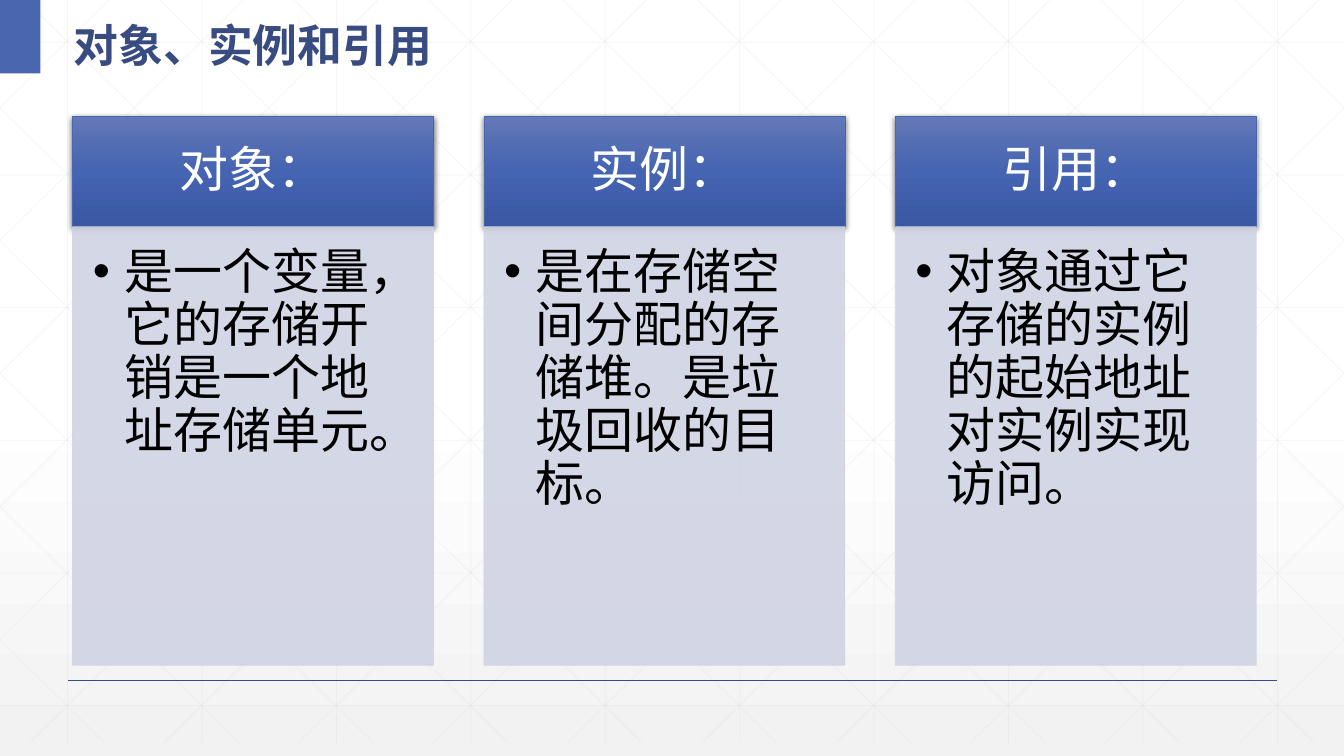
"""Builds a slide comparing objects, instances and references in three columns."""
from dataclasses import dataclass

from lxml import etree
from pptx import Presentation
from pptx.dml.color import RGBColor
from pptx.enum.shapes import MSO_CONNECTOR, MSO_SHAPE
from pptx.enum.text import MSO_ANCHOR, MSO_AUTO_SIZE, PP_ALIGN
from pptx.oxml.ns import qn
from pptx.util import Inches, Pt

STRAIGHT = MSO_CONNECTOR.STRAIGHT
RECTANGLE = MSO_SHAPE.RECTANGLE
TOP, MIDDLE = MSO_ANCHOR.TOP, MSO_ANCHOR.MIDDLE
LEFT, CENTER = PP_ALIGN.LEFT, PP_ALIGN.CENTER
NO_AUTO_SIZE = MSO_AUTO_SIZE.NONE

WIDTH, HEIGHT = 13.33, 7.5
GRID_BOTTOM = 7.37
GRID_STEP = 4 / 3
ROW_STEP = 1.316
DIAGONAL_RUN = 7.455
COLUMN_LEFT, COLUMN_STEP, COLUMN_WIDTH = 0.72, 4.08, 3.58
HEADING_TOP, HEADING_HEIGHT, BODY_HEIGHT = 1.15, 1.1, 4.35

COLUMNS = [
    ("对象：", "是一个变量，它的存储开销是一个地址存储单元。"),
    ("实例：", "是在存储空间分配的存储堆。是垃圾回收的目标。"),
    ("引用：", "对象通过它存储的实例的起始地址对实例实现访问。"),
]


@dataclass(frozen=True)
class Theme:
    """Colours, fonts and type sizes of the slide."""
    accent: str = "4A66AC"
    dark: str = "384C81"
    grid: str = "D9D9D9"
    panel: str = "D0D3E3"
    white: str = "FFFFFF"
    black: str = "000000"
    backdrop: tuple = ((0, "FFFFFF"), (53, "FFFFFF"), (100, "F2F2F2"))
    heading: tuple = ((0, "6378B7"), (50, "4564B1"), (100, "3957A2"))
    latin: str = "Arial"
    east_asian: str = "Noto Sans CJK SC"
    title_size: int = 32
    text_size: int = 35


def set_attributes(target, values):
    """Set each attribute of the target from a dict."""
    for name, value in values.items():
        setattr(target, name, value)


def add_child(parent, tag, **attributes):
    """Append an XML element with the given attributes."""
    child = etree.SubElement(parent, qn(tag))
    for name, value in attributes.items():
        child.set(name, str(value))
    return child


def set_alpha(properties, percent):
    """Set the opacity of every colour in the properties."""
    for color in properties.iter(qn("a:srgbClr")):
        add_child(color, "a:alpha", val=percent * 1000)


def set_gradient(properties, stops):
    """Replace the solid fill by a vertical gradient."""
    solid = properties.find(qn("a:solidFill"))
    gradient = etree.Element(qn("a:gradFill"), rotWithShape="1")
    stop_list = add_child(gradient, "a:gsLst")
    for position, color in stops:
        stop = add_child(stop_list, "a:gs", pos=position * 1000)
        add_child(stop, "a:srgbClr", val=color)
    add_child(gradient, "a:lin", ang=5400000, scaled=0)
    properties.replace(solid, gradient)


class SlideBuilder:
    """Holds the theme and the current slide."""

    def __init__(self, slide, theme):
        self.slide = slide
        self.theme = theme

    def background(self):
        """Fill the background with the backdrop gradient."""
        fill = self.slide.background.fill
        fill.solid()
        fill.fore_color.rgb = RGBColor.from_string(self.theme.white)
        properties = next(self.slide.element.iter(qn("p:bgPr")))
        set_gradient(properties, self.theme.backdrop)

    def line(self, shapes, start, end, color, width, alpha=100):
        """Draw a straight line."""
        connector = shapes.add_connector(STRAIGHT, *map(Inches, start + end))
        connector.line.color.rgb = RGBColor.from_string(color)
        connector.line.width = Pt(width)
        properties = connector.element.spPr
        if alpha < 100:
            set_alpha(properties, alpha)
        add_child(properties, "a:effectLst")

    def grid(self):
        """Draw the faint grid with its mirrored diagonals."""
        lines = []
        for index in range(10):
            x = 0.67 + index * GRID_STEP
            lines.append(((x, 0), (x, GRID_BOTTOM)))
        for index in range(6):
            y = 0.42 + index * ROW_STEP
            lines.append(((0, y), (WIDTH, y)))
        slope = GRID_BOTTOM / DIAGONAL_RUN
        for index in range(-5, 10):
            origin = 0.25 + index * GRID_STEP
            x1, x2 = max(origin, 0), min(origin + DIAGONAL_RUN, WIDTH)
            y1, y2 = (x1 - origin) * slope, (x2 - origin) * slope
            lines.append(((x1, y1), (x2, y2)))
            lines.append(((WIDTH - x1, y1), (WIDTH - x2, y2)))
        group = self.slide.shapes.add_group_shape()
        for start, end in lines:
            self.line(group.shapes, start, end, self.theme.grid, 0.5, 25)

    def rectangle(self, box, fill, outline=None):
        """Draw a plain rectangle."""
        shape = self.slide.shapes.add_shape(RECTANGLE, *map(Inches, box))
        shape.shadow.inherit = False
        shape.fill.solid()
        shape.fill.fore_color.rgb = RGBColor.from_string(fill)
        if outline:
            shape.line.color.rgb = RGBColor.from_string(outline)
            shape.line.width = Pt(0.5)
        else:
            shape.line.fill.background()
        return shape

    def add_text(self, shape, text, color, size, latin, frame_format, paragraph_format, bold=False):
        """Put one formatted paragraph into a shape."""
        frame = shape.text_frame
        set_attributes(frame, {"word_wrap": True, "auto_size": NO_AUTO_SIZE, **frame_format})
        paragraph = frame.paragraphs[0]
        set_attributes(paragraph, paragraph_format)
        run = paragraph.add_run()
        run.text = text
        set_attributes(run.font, {"size": Pt(size), "bold": bold, "name": latin})
        run.font.color.rgb = RGBColor.from_string(color)
        add_child(run.font._element, "a:ea", typeface=self.theme.east_asian)
        return paragraph

    def title(self, text):
        """Place and format the title placeholder above the grid."""
        theme, title = self.theme, self.slide.shapes.title
        self.slide.shapes.element.append(title.element)
        set_attributes(title, {"left": Inches(0.63), "top": Inches(0),
                               "width": Inches(5.69), "height": Inches(0.73)})
        self.add_text(title, text, theme.dark, theme.title_size, theme.east_asian,
                      {"vertical_anchor": MIDDLE},
                      {"alignment": LEFT, "line_spacing": 1.3}, bold=True)

    def heading(self, left, text):
        """Draw a column heading with gradient and shadow."""
        theme = self.theme
        shape = self.rectangle((left, HEADING_TOP, COLUMN_WIDTH, HEADING_HEIGHT),
                               theme.accent, theme.accent)
        properties = shape.element.spPr
        set_gradient(properties, theme.heading)
        shadow = add_child(properties.find(qn("a:effectLst")), "a:outerShdw", blurRad=Pt(4.5),
                           dist=Pt(1.5), dir=5400000, algn="ctr", rotWithShape=0)
        add_child(shadow, "a:srgbClr", val=theme.black)
        set_alpha(shadow, 63)
        self.add_text(shape, text, theme.white, theme.text_size, theme.latin,
                      {"vertical_anchor": MIDDLE,
                       "margin_left": Inches(0.27), "margin_right": Inches(0.27),
                       "margin_top": Inches(0.16), "margin_bottom": Inches(0.16)},
                      {"alignment": CENTER, "line_spacing": 0.9, "space_after": Pt(12)})

    def body(self, left, text):
        """Draw a column body with one bulleted paragraph."""
        theme = self.theme
        top = HEADING_TOP + HEADING_HEIGHT
        shape = self.rectangle((left, top, COLUMN_WIDTH, BODY_HEIGHT), theme.panel, theme.panel)
        set_alpha(shape.element.spPr, 90)
        paragraph = self.add_text(shape, text, theme.black, theme.text_size, theme.latin,
                                  {"vertical_anchor": TOP,
                                   "margin_left": Inches(0.2), "margin_right": Inches(0.27),
                                   "margin_top": Inches(0.2), "margin_bottom": Inches(0.31)},
                                  {"alignment": LEFT, "line_spacing": 0.9, "space_after": Pt(5)})
        properties = paragraph._p.get_or_add_pPr()
        properties.set("marL", str(Inches(0.31)))
        properties.set("indent", str(-Inches(0.31)))
        add_child(properties, "a:buFont", typeface=theme.latin)
        add_child(properties, "a:buChar", char="•")


def main():
    """Build and save the presentation."""
    presentation = Presentation()
    presentation.slide_width, presentation.slide_height = Inches(WIDTH), Inches(HEIGHT)
    theme = Theme()
    slide = presentation.slides.add_slide(presentation.slide_layouts[5])
    builder = SlideBuilder(slide, theme)
    builder.background()
    builder.grid()
    builder.line(slide.shapes, (0.67, 6.75), (12.67, 6.75), theme.dark, 1)
    builder.rectangle((0, 0, 0.4, 0.73), theme.accent)
    builder.title("对象、实例和引用")
    for index, (heading, text) in enumerate(COLUMNS):
        left = COLUMN_LEFT + index * COLUMN_STEP
        builder.heading(left, heading)
        builder.body(left, text)
    presentation.save("out.pptx")


if __name__ == "__main__":
    main()
